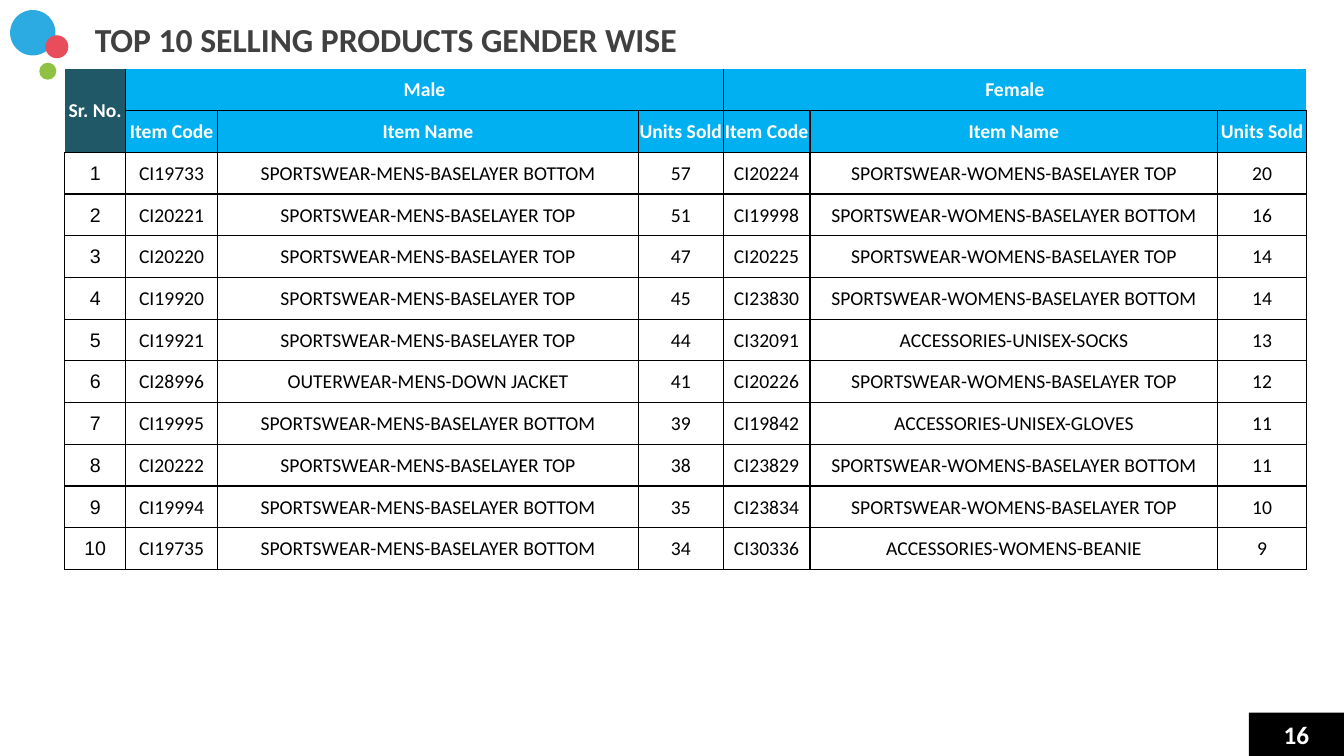
import pptx
import pptx.dml.color
import pptx.enum.shapes
import pptx.enum.text
import pptx.oxml
import pptx.oxml.ns
import pptx.util

Pt = pptx.util.Pt
RGBColor = pptx.dml.color.RGBColor
MSO_SHAPE = pptx.enum.shapes.MSO_SHAPE
MIDDLE = pptx.enum.text.MSO_ANCHOR.MIDDLE
PP_ALIGN = pptx.enum.text.PP_ALIGN

BLACK = RGBColor(0x00, 0x00, 0x00)
WHITE = RGBColor(0xFF, 0xFF, 0xFF)
CHARCOAL = RGBColor(0x40, 0x40, 0x40)
SKY = RGBColor(0x00, 0xB0, 0xF0)
TEAL = RGBColor(0x20, 0x58, 0x68)
BLUE = RGBColor(0x2C, 0xAA, 0xE2)
RED = RGBColor(0xE9, 0x4D, 0x5B)
GREEN = RGBColor(0x8F, 0xC1, 0x43)

MENS_TOP = "SPORTSWEAR-MENS-BASELAYER TOP"
MENS_BOTTOM = "SPORTSWEAR-MENS-BASELAYER BOTTOM"
WOMENS_TOP = "SPORTSWEAR-WOMENS-BASELAYER TOP"
WOMENS_BOTTOM = "SPORTSWEAR-WOMENS-BASELAYER BOTTOM"

male_products = [
    ("CI19733", MENS_BOTTOM, 57),
    ("CI20221", MENS_TOP, 51),
    ("CI20220", MENS_TOP, 47),
    ("CI19920", MENS_TOP, 45),
    ("CI19921", MENS_TOP, 44),
    ("CI28996", "OUTERWEAR-MENS-DOWN JACKET", 41),
    ("CI19995", MENS_BOTTOM, 39),
    ("CI20222", MENS_TOP, 38),
    ("CI19994", MENS_BOTTOM, 35),
    ("CI19735", MENS_BOTTOM, 34),
]
female_products = [
    ("CI20224", WOMENS_TOP, 20),
    ("CI19998", WOMENS_BOTTOM, 16),
    ("CI20225", WOMENS_TOP, 14),
    ("CI23830", WOMENS_BOTTOM, 14),
    ("CI32091", "ACCESSORIES-UNISEX-SOCKS", 13),
    ("CI20226", WOMENS_TOP, 12),
    ("CI19842", "ACCESSORIES-UNISEX-GLOVES", 11),
    ("CI23829", WOMENS_BOTTOM, 11),
    ("CI23834", WOMENS_TOP, 10),
    ("CI30336", "ACCESSORIES-WOMENS-BEANIE", 9),
]


def format_text(paragraph, size, color, bold, font="Calibri", align=PP_ALIGN.CENTER):
    paragraph.alignment = align
    for run in paragraph.runs:
        run.font.name = font
        run.font.size = Pt(size)
        run.font.bold = bold
        run.font.color.rgb = color


def add_border(cell, side, visible):
    paint = '<a:solidFill><a:srgbClr val="000000"/></a:solidFill>' if visible else "<a:noFill/>"
    cell._tc.get_or_add_tcPr().append(pptx.oxml.parse_xml(
        f'<a:ln{side} {pptx.oxml.ns.nsdecls("a")} w="{Pt(1)}">{paint}</a:ln{side}>'))


deck = pptx.Presentation()
deck.slide_width = Pt(960)
deck.slide_height = Pt(540)
slide = deck.slides.add_slide(deck.slide_layouts[5])

for left, top, diameter, color in [
    (7.2, 7.2, 32.4, BLUE),
    (32.4, 25.2, 16.4, RED),
    (28.1, 44.8, 12.2, GREEN),
]:
    dot = slide.shapes.add_shape(MSO_SHAPE.OVAL, Pt(left), Pt(top), Pt(diameter), Pt(diameter))
    dot.shadow.inherit = False
    dot.fill.solid()
    dot.fill.fore_color.rgb = color
    dot.line.fill.background()

page_number = slide.shapes.add_shape(MSO_SHAPE.RECTANGLE, Pt(892), Pt(509), Pt(68), Pt(31))
page_number.shadow.inherit = False
page_number.fill.solid()
page_number.fill.fore_color.rgb = BLACK
page_number.line.fill.background()
page_number.text_frame.text = "16"
page_number.text_frame.vertical_anchor = MIDDLE
format_text(page_number.text_frame.paragraphs[0], 18, WHITE, True)

title = slide.shapes.title
title.left, title.top, title.width, title.height = Pt(67.7), Pt(12.4), Pt(770.4), Pt(30.2)
heading = title.text_frame
heading.text = "TOP 10 SELLING PRODUCTS GENDER WISE"
heading.margin_left = heading.margin_right = heading.margin_bottom = Pt(0)
heading.margin_top = Pt(1)
heading.vertical_anchor = MIDDLE
heading.auto_size = pptx.enum.text.MSO_AUTO_SIZE.SHAPE_TO_FIT_TEXT
format_text(heading.paragraphs[0], 24, CHARCOAL, True, align=PP_ALIGN.LEFT)

rows = [
    ["Sr. No.", "Male", "", "", "Female", "", ""],
    [""] + ["Item Code", "Item Name", "Units Sold"] * 2,
]
for rank, (male, female) in enumerate(zip(male_products, female_products), 1):
    rows.append([rank, *male, *female])

column_widths = [43.6, 65.6, 300.6, 60.6, 62, 291.4, 63.2]
row_height = 29.82
products = slide.shapes.add_table(
    len(rows), len(column_widths), Pt(46.2), Pt(49.2),
    Pt(sum(column_widths)), Pt(row_height * len(rows))).table
products.first_row = False
products.horz_banding = False
for column, width in zip(products.columns, column_widths):
    column.width = Pt(width)
for row in products.rows:
    row.height = Pt(row_height)
products.cell(0, 0).merge(products.cell(1, 0))
products.cell(0, 1).merge(products.cell(0, 3))
products.cell(0, 4).merge(products.cell(0, 6))

for r, values in enumerate(rows):
    for c, value in enumerate(values):
        cell = products.cell(r, c)
        if cell.is_spanned:
            continue
        is_header = r < 2
        cell.text_frame.text = str(value)
        cell.vertical_anchor = MIDDLE
        cell.margin_left = cell.margin_right = cell.margin_top = Pt(0.7)
        cell.margin_bottom = Pt(0)
        font = "Arial" if c == 0 and not is_header else "Calibri"
        format_text(cell.text_frame.paragraphs[0], 14, WHITE if is_header else BLACK, is_header, font)
        add_border(cell, "L", c > 0 or not is_header)
        add_border(cell, "R", r > 0 or c < 4)
        add_border(cell, "T", r > 0)
        add_border(cell, "B", True)
        if is_header:
            cell.fill.solid()
            cell.fill.fore_color.rgb = TEAL if c == 0 else SKY
        else:
            cell.fill.background()

deck.save("out.pptx")
